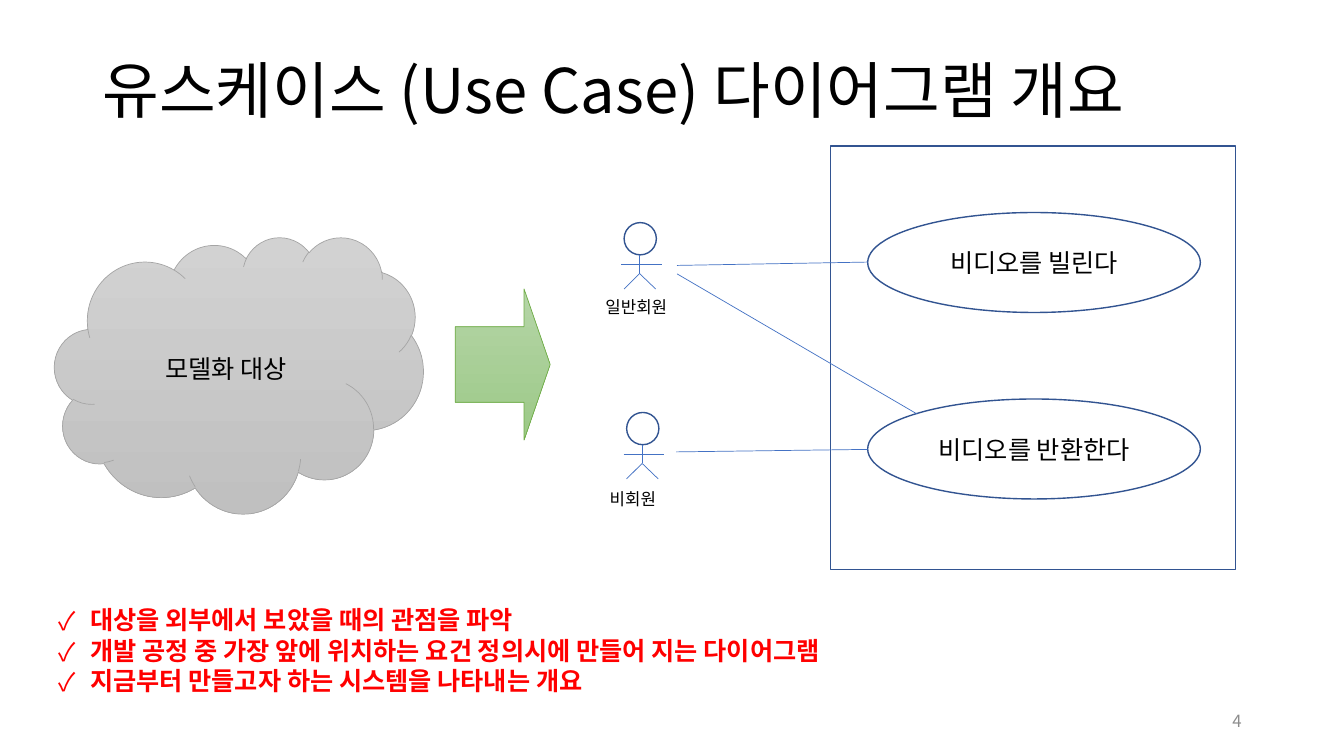
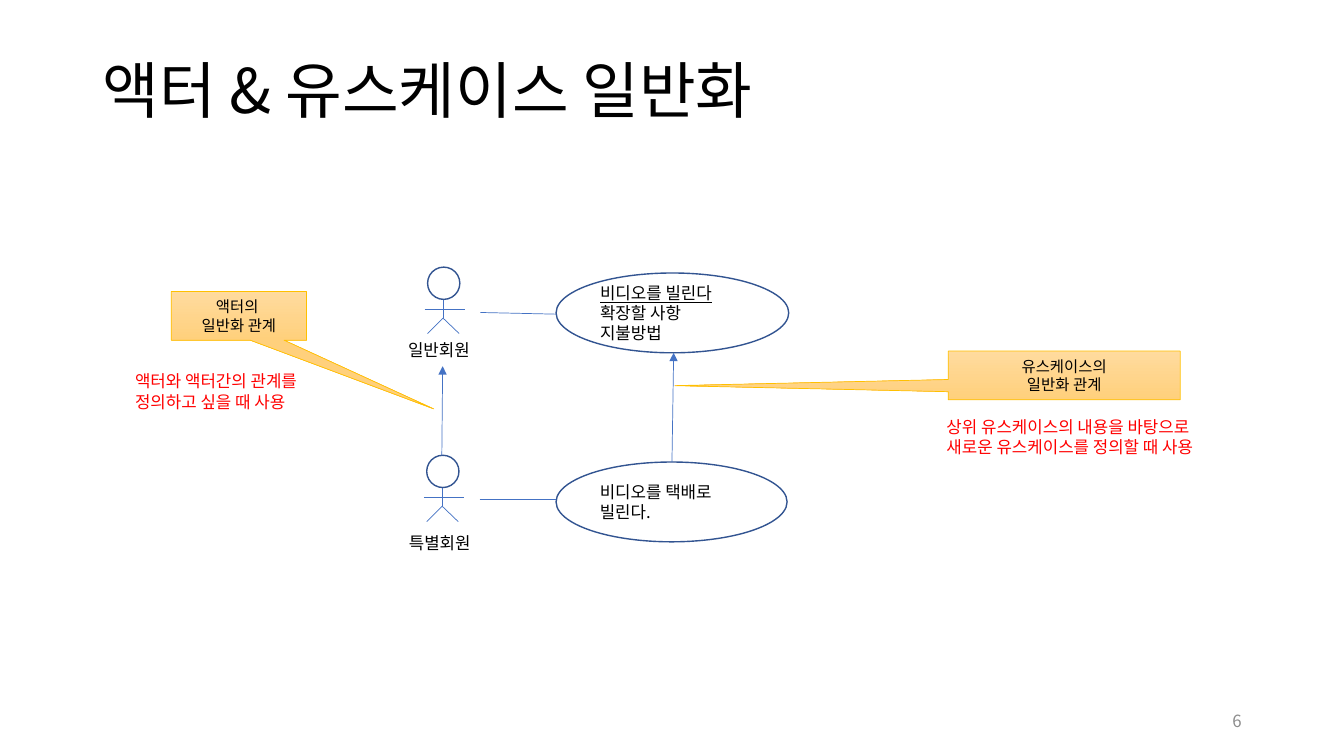
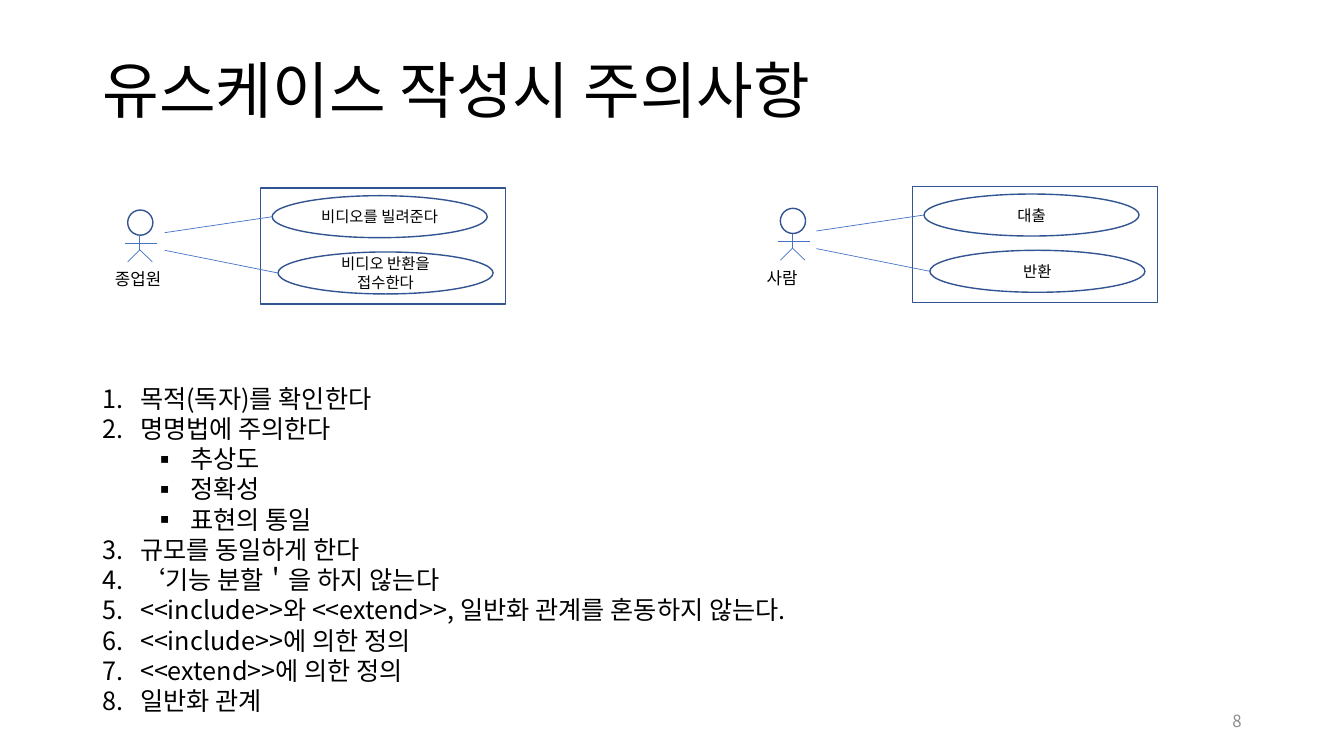
import pptx
import pptx.dml.color
import pptx.enum.dml
import pptx.enum.shapes
import pptx.enum.text
import pptx.oxml.ns
import pptx.util
import lxml.etree

RGBColor = pptx.dml.color.RGBColor
KIND = pptx.enum.shapes.MSO_SHAPE
ALIGN = pptx.enum.text.PP_ALIGN
ANCHOR = pptx.enum.text.MSO_ANCHOR
FIT = pptx.enum.text.MSO_AUTO_SIZE
qn = pptx.oxml.ns.qn

FONT = "Noto Sans CJK KR"
BLACK = RGBColor(0x00, 0x00, 0x00)
RED = RGBColor(0xFF, 0x00, 0x00)
PAGE_GRAY = RGBColor(0x8C, 0x8C, 0x8C)
OUTLINE = RGBColor(0x32, 0x54, 0x91)
LINK = RGBColor(0x44, 0x72, 0xC4)
GRAY = RGBColor(0xA5, 0xA5, 0xA5)
GRAY_FADE = (RGBColor(0xD2, 0xD2, 0xD2), RGBColor(0xC0, 0xC0, 0xC0))
GREEN = RGBColor(0x70, 0xAD, 0x47)
GREEN_FADE = (RGBColor(0xB5, 0xD5, 0xA7), RGBColor(0x9C, 0xC9, 0x87))
AMBER = RGBColor(0xFF, 0xC0, 0x00)
AMBER_FADE = (RGBColor(0xFF, 0xDB, 0x9E), RGBColor(0xFF, 0xD0, 0x7C))

deck = pptx.Presentation()
deck.slide_width = pptx.util.Inches(13.333)
deck.slide_height = pptx.util.Inches(7.5)
COL = deck.slide_width / 160
ROW = deck.slide_height / 90


def draw(slide, kind, box, text="", size=12, color=BLACK, line=OUTLINE, weight=1,
         fade=None, align=ALIGN.LEFT, anchor=ANCHOR.MIDDLE, wrap=True, fit=FIT.NONE, bold=None):
    left, top, width, height = [round(n * unit) for n, unit in zip(box, (COL, ROW, COL, ROW))]
    if kind == "title":
        shape = slide.shapes.title
        shape.left, shape.top, shape.width, shape.height = left, top, width, height
    elif kind == "text":
        shape = slide.shapes.add_textbox(left, top, width, height)
    else:
        shape = slide.shapes.add_shape(kind, left, top, width, height)
        shape.shadow.inherit = False
        shape.line.color.rgb = line
        shape.line.width = pptx.util.Pt(weight)
        if fade:
            shape.fill.gradient()
            shape.fill.gradient_angle = 270
            for stop, shade in zip(shape.fill.gradient_stops, fade):
                stop.color.rgb = shade
        else:
            shape.fill.background()
    frame = shape.text_frame
    frame.text = text
    frame.word_wrap = wrap
    frame.auto_size = fit
    frame.vertical_anchor = anchor
    for paragraph in frame.paragraphs:
        paragraph.alignment = align
        for run in paragraph.runs:
            run.font.size = pptx.util.Pt(size)
            run.font.bold = bold
            run.font.color.rgb = color
            run.font.name = FONT
            lxml.etree.SubElement(run.font._element, qn("a:ea"), typeface=FONT)
    return shape


def connect(slide, x1, y1, x2, y2, arrow=False):
    link = slide.shapes.add_connector(
        pptx.enum.shapes.MSO_CONNECTOR.STRAIGHT,
        round(x1 * COL), round(y1 * ROW), round(x2 * COL), round(y2 * ROW))
    link.line.color.rgb = LINK
    link.line.width = pptx.util.Pt(0.5)
    if arrow:
        lxml.etree.SubElement(link.line._get_or_add_ln(), qn("a:tailEnd"), type="triangle")
    lxml.etree.SubElement(link._element.spPr, qn("a:effectLst"))


pages = []
for heading, number, heading_width in (
    ("유스케이스 (Use Case) 다이어그램 개요", "4", 138),
    ("액터 & 유스케이스 일반화", "6", 144.4),
    ("유스케이스 작성시 주의사항", "8", 144.4),
):
    page = deck.slides.add_slide(deck.slide_layouts[5])
    title = draw(page, "title", (11, 4.8, heading_width, 12.6), heading, 44)
    title.text_frame.paragraphs[0].line_spacing = 0.9
    draw(page, "text", (113, 83.4, 36, 4.8), number, color=PAGE_GRAY, align=ALIGN.RIGHT)
    pages.append(page)
overview, generalization, cautions = pages

STICK_FIGURE = (
    (-0.09, 1.31, 1.16, 1.31),
    (0.48, 1.01, 0.48, 1.58),
    (0.48, 1.58, 0, 2.06),
    (0.48, 1.58, 0.98, 2.06),
)
for page, x, y, head, name, name_x, name_y, name_width in (
    (overview, 74.3, 26.5, 3.84, "일반회원", 70.9, 34.7, 10.6),
    (overview, 74.6, 49.1, 3.84, "비회원", 71.4, 57.6, 8.5),
    (generalization, 50.9, 31.8, 3.84, "일반회원", 47.4, 39.8, 10.6),
    (generalization, 50.8, 54.2, 3.84, "특별회원", 47.5, 62.8, 10.6),
    (cautions, 15.2, 25, 3, "종업원", 12.5, 31.4, 8.5),
    (cautions, 92.9, 24.8, 3, "사람", 90.1, 31.3, 6.5),
):
    draw(page, KIND.OVAL, (x, y, head, head))
    for x1, y1, x2, y2 in STICK_FIGURE:
        connect(page, x + x1 * head, y + y1 * head, x + x2 * head, y + y2 * head)
    draw(page, "text", (name_x, name_y, name_width, 3.6), name,
         anchor=ANCHOR.TOP, wrap=False, fit=FIT.SHAPE_TO_FIT_TEXT)

draw(overview, KIND.RECTANGLE, (98.9, 17.4, 48.2, 50.4))
for top, use_case in ((25.3, "비디오를 빌린다"), (47.5, "비디오를 반환한다")):
    draw(overview, KIND.OVAL, (103.3, top, 39.6, 11.9), use_case, 18, align=ALIGN.CENTER)
for ends in ((80.6, 31.6, 103.3, 31.2), (80.5, 53.8, 103.3, 53.5), (80.6, 32.6, 109.2, 49.3)):
    connect(overview, *ends)
draw(overview, KIND.CLOUD, (6.5, 28.2, 43.9, 32.9), "모델화 대상", 18,
     line=GRAY, weight=0.5, fade=GRAY_FADE, align=ALIGN.CENTER)
becomes = draw(overview, KIND.RIGHT_ARROW, (54.2, 34.4, 11.3, 18),
               line=GREEN, weight=0.5, fade=GREEN_FADE)
becomes.adjustments[1] = 0.275
key_points = draw(
    overview, "text", (5.8, 71.4, 152.2, 12.1),
    "대상을 외부에서 보았을 때의 관점을 파악\n"
    "개발 공정 중 가장 앞에 위치하는 요건 정의시에 만들어 지는 다이어그램\n"
    "지금부터 만들고자 하는 시스템을 나타내는 개요",
    18, RED, anchor=ANCHOR.TOP, fit=FIT.SHAPE_TO_FIT_TEXT, bold=True)

rental = draw(generalization, KIND.OVAL, (66.2, 32.5, 27.7, 9.5),
              "비디오를 빌린다\n확장할 사항\n지불방법")
rental.text_frame.paragraphs[0].runs[0].font.underline = True
draw(generalization, KIND.OVAL, (66.2, 55, 27.5, 9.5), "비디오를 택배로 빌린다.")
for *ends, arrow in (
    (57.2, 37.2, 66.2, 37.4, False),
    (57.1, 59.5, 66.2, 59.5, False),
    (52.6, 54.2, 52.7, 43.6, True),
    (80, 55, 80.2, 42, True),
):
    connect(generalization, *ends, arrow)
for box, relation, pointer, note_box, note in (
    ((112.9, 41.8, 27.6, 5.8), "유스케이스의\n일반화 관계", (-1.68, 0.21),
     (111.5, 49, 35.5, 6), "상위 유스케이스의 내용을 바탕으로\n새로운 유스케이스를 정의할 때 사용"),
    ((20.4, 34.7, 16.1, 5.8), "액터의 \n일반화 관계", (1.44, 1.91),
     (14.9, 43.6, 24.7, 6), "액터와 액터간의 관계를\n정의하고 싶을 때 사용"),
):
    callout = draw(generalization, KIND.RECTANGULAR_CALLOUT, box, relation, 11,
                   line=AMBER, weight=0.5, fade=AMBER_FADE, align=ALIGN.CENTER)
    callout.adjustments[0], callout.adjustments[1] = pointer
    draw(generalization, "text", note_box, note, color=RED,
         anchor=ANCHOR.TOP, wrap=False, fit=FIT.SHAPE_TO_FIT_TEXT)

for dx, dy, lend, give_back in (
    (0, 0, "비디오를 빌려준다", "비디오 반환을 접수한다"),
    (77.6, -0.2, "대출", "반환"),
):
    draw(cautions, KIND.RECTANGLE, (31 + dx, 22.4 + dy, 29.2, 13.8))
    for left, top, use_case, start in ((32.4, 23.3, lend, 27.7), (33.1, 30, give_back, 29.8)):
        draw(cautions, KIND.OVAL, (left + dx, top + dy, 25.6, 5), use_case, 11, align=ALIGN.CENTER)
        connect(cautions, 19.6 + dx, start + dy, left + dx, top + 2.5 + dy)
rules = draw(
    cautions, "text", (11, 45, 141.5, 41.2),
    "목적(독자)를 확인한다\n명명법에 주의한다\n추상도\n정확성\n표현의 통일\n"
    "규모를 동일하게 한다\n‘기능 분할＇을 하지 않는다\n"
    "<<include>>와 <<extend>>, 일반화 관계를 혼동하지 않는다.\n"
    "<<include>>에 의한 정의\n<<extend>>에 의한 정의\n일반화 관계",
    18, anchor=ANCHOR.TOP, fit=FIT.SHAPE_TO_FIT_TEXT)
for index in (2, 3, 4):
    rules.text_frame.paragraphs[index].level = 1

for bullets, hang, mark in ((key_points, 3.75, "✓"), (rules, 4.5, None)):
    for paragraph in bullets.text_frame.paragraphs:
        properties = paragraph._p.get_or_add_pPr()
        properties.set("marL", str(round((hang + 6 * paragraph.level) * COL)))
        properties.set("indent", str(round(-hang * COL)))
        if mark or paragraph.level:
            lxml.etree.SubElement(properties, qn("a:buFont"), typeface=FONT)
            lxml.etree.SubElement(properties, qn("a:buChar"), char=mark or "▪")
        else:
            lxml.etree.SubElement(properties, qn("a:buFont"), typeface=FONT)
            lxml.etree.SubElement(properties, qn("a:buAutoNum"), type="arabicPeriod")

deck.save("out.pptx")
